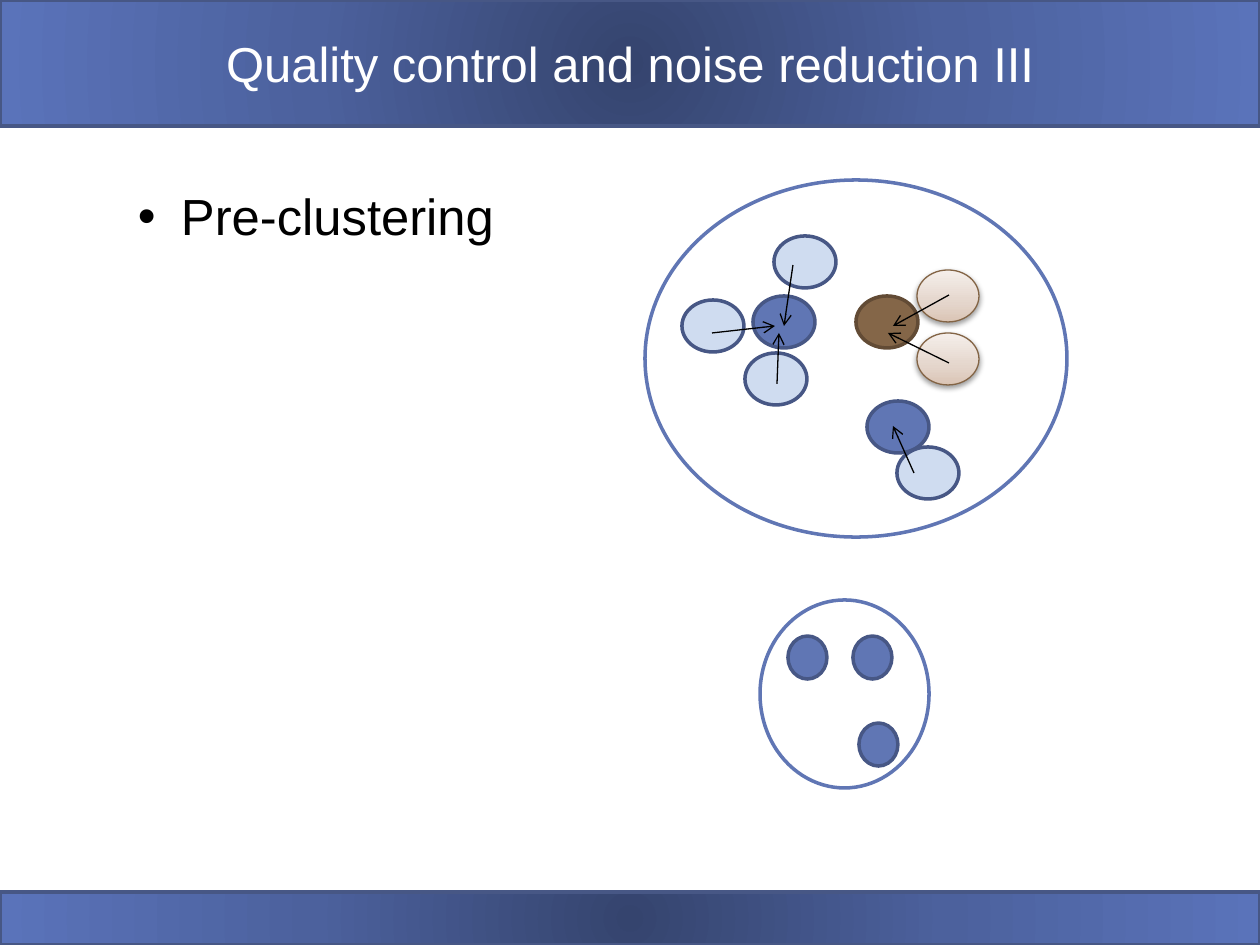
from dataclasses import dataclass

from lxml.etree import SubElement
from pptx import Presentation
from pptx.dml.color import RGBColor as RGB
from pptx.enum.shapes import MSO_CONNECTOR as CONN, MSO_SHAPE as SHAPE
from pptx.enum.text import MSO_ANCHOR as ANCHOR, PP_ALIGN as ALIGN
from pptx.oxml import parse_xml
from pptx.oxml.ns import nsdecls, qn
from pptx.util import Emu, Pt


@dataclass(frozen=True)
class Theme:
    font: str = "Arial"
    title_size: int = 28
    body_size: int = 29
    white: str = "FFFFFF"
    black: str = "000000"
    blue: str = "6076B4"
    blue_edge: str = "475785"
    pale: str = "CFDCF0"
    brown: str = "846648"
    brown_edge: str = "624B35"
    tan_edge: str = "836445"
    band: tuple = ((0, "35446E"), (50, "4C619D"), (100, "5A73BA"))
    tan: tuple = ((0, "DAC4B4"), (35, "E4D5CB"), (100, "F5EFEB"))


T = Theme()
RADIAL = ('<a:path path="circle"><a:fillToRect l="50000" t="50000" '
          'r="50000" b="50000"/></a:path>')
UPWARD = '<a:lin ang="16200000" scaled="0"/>'


def px(n):
    return Emu(round(n * 914400 / 126))


def add_shape(slide, kind, box, fill=None, line=T.blue_edge, width=2):
    s = slide.shapes.add_shape(kind, *map(px, box))
    s.shadow.inherit = False
    if fill:
        s.fill.solid()
        s.fill.fore_color.rgb = RGB.from_string(fill)
    else:
        s.fill.background()
    s.line.color.rgb = RGB.from_string(line)
    s.line.width = Pt(width)
    return s


def set_gradient(s, stops, direction):
    s.fill.background()
    sp_pr = s._element.spPr
    old = sp_pr.find(qn("a:noFill"))
    gs = "".join(f'<a:gs pos="{pos * 1000}"><a:srgbClr val="{color}"/></a:gs>'
                 for pos, color in stops)
    sp_pr.replace(old, parse_xml(
        f'<a:gradFill {nsdecls("a")} rotWithShape="1"><a:gsLst>{gs}</a:gsLst>'
        f'{direction}</a:gradFill>'))


def add_soft_shadow(s):
    effects = s._element.spPr.find(qn("a:effectLst"))
    effects.append(parse_xml(
        f'<a:outerShdw {nsdecls("a")} blurRad="{Pt(3.1)}" dist="{Pt(1.6)}" '
        f'dir="5400000" rotWithShape="0"><a:srgbClr val="{T.black}">'
        '<a:alpha val="38000"/></a:srgbClr></a:outerShdw>'))


def add_text(slide, box, text, size, color, align=ALIGN.LEFT,
             anchor=ANCHOR.TOP, bullet=False):
    tf = slide.shapes.add_textbox(*map(px, box)).text_frame
    tf.word_wrap = True
    tf.vertical_anchor = anchor
    tf.margin_left = tf.margin_right = px(12)
    tf.margin_top = tf.margin_bottom = px(6)
    p = tf.paragraphs[0]
    p.alignment = align
    r = p.add_run()
    r.text = text
    r.font.name, r.font.size = T.font, Pt(size)
    r.font.color.rgb = RGB.from_string(color)
    if bullet:
        p_pr = p._p.get_or_add_pPr()
        p_pr.set("marL", str(px(43)))
        p_pr.set("indent", str(-px(43)))
        before = SubElement(p_pr, qn("a:spcBef"))
        SubElement(before, qn("a:spcPct")).set("val", "20000")
        SubElement(p_pr, qn("a:buFont")).set("typeface", T.font)
        SubElement(p_pr, qn("a:buChar")).set("char", "•")


def add_arrow(slide, x1, y1, x2, y2):
    c = slide.shapes.add_connector(CONN.STRAIGHT, *map(px, (x1, y1, x2, y2)))
    c.line.color.rgb = RGB.from_string(T.black)
    c.line.width = Pt(0.75)
    SubElement(c.line._get_or_add_ln(), qn("a:tailEnd")).set("type", "arrow")
    SubElement(c._element.spPr, qn("a:effectLst"))


def add_band(slide, box):
    set_gradient(add_shape(slide, SHAPE.RECTANGLE, box), T.band, RADIAL)


def add_header(slide, box):
    x, y, w, h = box
    add_band(slide, box)
    add_text(slide, (x + 126, y, w - 252, h),
             "Quality control and noise reduction III", T.title_size, T.white,
             align=ALIGN.CENTER, anchor=ANCHOR.MIDDLE)


def add_small_cluster(slide, box):
    x, y, _, _ = box
    for dx, dy in ((99, 123), (28, 36), (93, 36)):
        add_shape(slide, SHAPE.OVAL, (x + dx, y + dy, 39, 43), T.blue)
    add_shape(slide, SHAPE.OVAL, box, line=T.blue)


def add_large_cluster(slide, box):
    x, y, _, _ = box

    def add_read(dx, dy, *style):
        return add_shape(slide, SHAPE.OVAL, (x + dx, y + dy, 62, 52), *style)

    # Cluster centres and outline
    add_read(222, 221, T.blue)
    add_read(108, 116, T.blue)
    add_read(211, 116, T.brown, T.brown_edge)
    add_shape(slide, SHAPE.OVAL, box, line=T.blue)

    # Reads to be merged
    for dx, dy in ((129, 56), (37, 120), (100, 173)):
        add_read(dx, dy, T.pale)
    for dy in (90, 153):
        s = add_read(272, dy, None, T.tan_edge, 0.75)
        set_gradient(s, T.tan, UPWARD)
        add_soft_shadow(s)
    add_read(252, 267, T.pale)

    # Arrows from each read to its centre
    for x1, y1, x2, y2 in ((67, 153, 130, 146), (148, 85, 139, 146),
                           (132, 204, 134, 153), (269, 293, 248, 246),
                           (304, 115, 248, 146), (304, 183, 243, 153)):
        add_arrow(slide, x + x1, y + y1, x + x2, y + y2)


def main():
    prs = Presentation()
    prs.slide_width, prs.slide_height = px(1260), px(945)
    slide = prs.slides.add_slide(prs.slide_layouts[6])
    add_header(slide, (0, 0, 1260, 126))
    add_band(slide, (0, 892, 1260, 53))
    add_text(slide, (126, 179, 489, 672), "Pre-clustering",
             T.body_size, T.black, bullet=True)
    add_small_cluster(slide, (760, 600, 169, 188))
    add_large_cluster(slide, (645, 180, 422, 357))
    prs.save("out.pptx")


if __name__ == "__main__":
    main()
